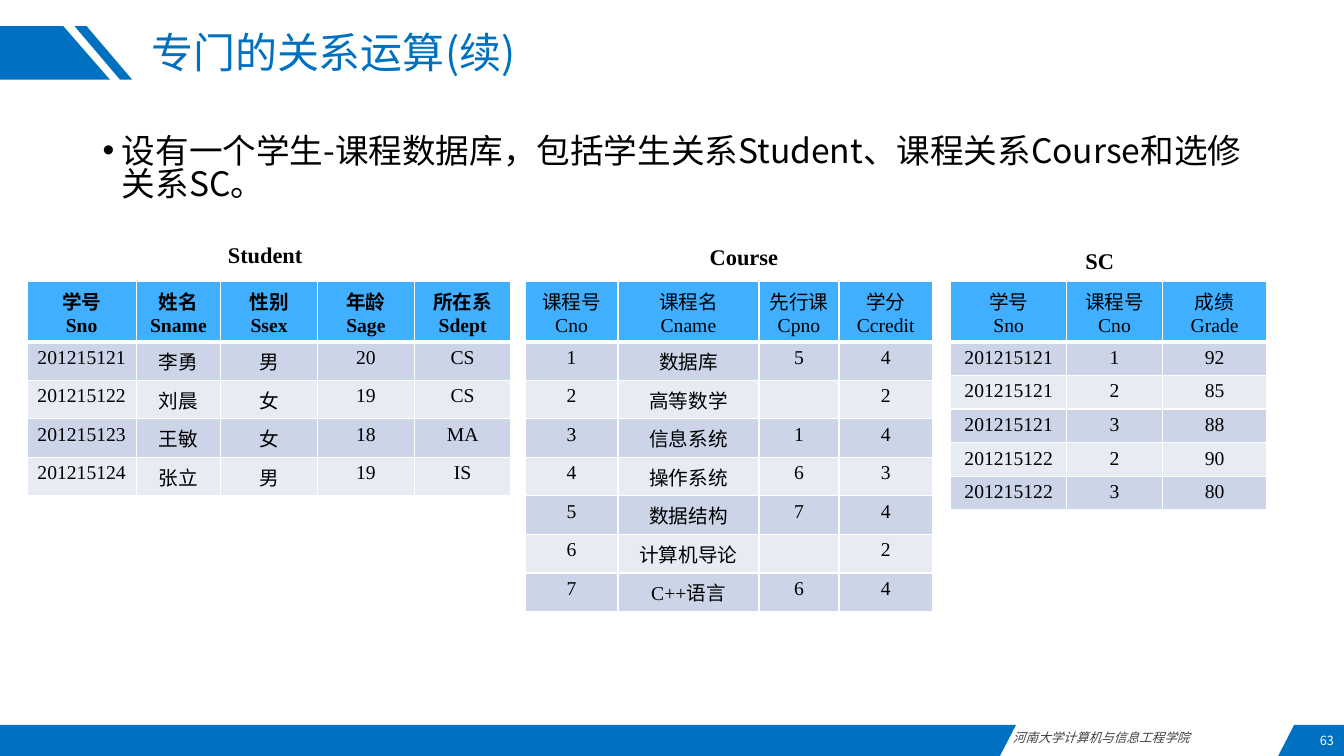
from dataclasses import dataclass

from lxml.etree import SubElement
from pptx import Presentation
from pptx.dml.color import RGBColor
from pptx.enum.text import MSO_ANCHOR, PP_ALIGN
from pptx.oxml.ns import qn
from pptx.slide import Slide
from pptx.table import _Cell
from pptx.text.text import TextFrame
from pptx.util import Emu, Inches, Pt

WIDTH, HEIGHT = Inches(13.333), Inches(7.5)
SANS, SERIF = "Noto Sans CJK SC", "Times New Roman"
COLOURS = {
    "brand": "0070C0", "header": "40AFFF", "odd": "CCD5E8", "even": "E7EBF4",
    "ink": "000000", "grey": "404040", "white": "FFFFFF",
}
TABLE_TOP, HEADER_ROW = 37.2, 8


@dataclass(frozen=True)
class Area:
    """A rectangle in percent of the slide's width and height."""
    left: float
    top: float
    width: float
    height: float


@dataclass(frozen=True)
class Relation:
    name: str
    label: Area
    left: float
    columns: tuple[float, ...]
    row: float
    header: str
    records: tuple[str, ...]
    bold_header: bool = False


BANDS = (
    ((0, 3.47), (4.72, 3.47), (8.18, 10.53), (0, 10.53)),
    ((6.45, 3.47), (9.83, 10.53), (8.93, 10.53), (5.55, 3.47)),
    ((0, 95.87), (75.6, 95.87), (74.4, 100), (0, 100)),
    ((96.3, 95.87), (100, 95.87), (100, 100), (95.1, 100)),
)

# Fields are split by "|", lines within a field by "/".
RELATIONS = (
    Relation(
        "Student", Area(15, 30.53, 9.45, 6.27), 2.03, (8.1, 6.3, 7.2, 7.2, 7.2), 5.1,
        "学号/Sno|姓名/Sname|性别/Ssex|年龄/Sage|所在系/Sdept",
        ("201215121|李勇|男|20|CS", "201215122|刘晨|女|19|CS",
         "201215123|王敏|女|18|MA", "201215124|张立|男|19|IS"),
        bold_header=True,
    ),
    Relation(
        "Course", Area(51.6, 31.07, 7.5, 5.6), 39.08, (6.9, 10.5, 5.95, 6.95), 5.1,
        "课程号/Cno|课程名/Cname|先行课/Cpno|学分/Ccredit",
        ("1|数据库|5|4", "2|高等数学||2", "3|信息系统|1|4", "4|操作系统|6|3",
         "5|数据结构|7|4", "6|计算机导论||2", "7|C++语言|6|4"),
    ),
    Relation(
        "SC", Area(78.83, 31.87, 6, 5.2), 70.73, (8.65, 7.1, 7.8), 4.2,
        "学号/Sno|课程号/Cno|成绩/Grade",
        ("201215121|1|92", "201215121|2|85", "201215121|3|88",
         "201215122|2|90", "201215122|3|80"),
    ),
)


def across(share: float) -> Emu:
    return Emu(round(WIDTH * share / 100))


def down(share: float) -> Emu:
    return Emu(round(HEIGHT * share / 100))


def colour(name: str) -> RGBColor:
    return RGBColor.from_string(COLOURS[name])


def write(frame: TextFrame, text: str, *, size: float, font: str = SANS, ink: str = "ink",
          bold: bool = False, italic: bool = False, align: PP_ALIGN = PP_ALIGN.LEFT,
          spacing: float | None = None, bullet: str = "") -> None:
    """Fill a frame, one paragraph for each line of the text."""
    for number, line in enumerate(text.split("\n")):
        para = frame.add_paragraph() if number else frame.paragraphs[0]
        para.alignment = align
        if spacing:
            para.line_spacing = spacing
        if bullet:
            properties = para._p.get_or_add_pPr()
            indent = Inches(0.19)
            properties.set("marL", str(indent))
            properties.set("indent", str(-indent))
            SubElement(properties, qn("a:buFont"), typeface="Arial")
            SubElement(properties, qn("a:buChar"), char=bullet)
        if not line:
            SubElement(para._p, qn("a:endParaRPr"), sz=str(size * 100))
            continue
        span = para.add_run()
        span.text = line
        span.font.size, span.font.name = Pt(size), font
        span.font.bold, span.font.italic = bold, italic
        span.font.color.rgb = colour(ink)
        SubElement(span._r.get_or_add_rPr(), qn("a:ea"), typeface=SANS)


def add_text(page: Slide, area: Area, text: str, *, anchor: MSO_ANCHOR = MSO_ANCHOR.MIDDLE,
             inset_top: float = 0.05, **style) -> None:
    box = page.shapes.add_textbox(across(area.left), down(area.top),
                                  across(area.width), down(area.height))
    frame = box.text_frame
    frame.word_wrap = True
    frame.vertical_anchor = anchor
    frame.margin_top = Inches(inset_top)
    write(frame, text, **style)


def add_band(page: Slide, corners: tuple[tuple[float, float], ...]) -> None:
    points = [(across(x), down(y)) for x, y in corners]
    builder = page.shapes.build_freeform(*points[0], scale=1.0)
    builder.add_line_segments(points[1:], close=True)
    band = builder.convert_to_shape()
    band.shadow.inherit = False
    band.fill.solid()
    band.fill.fore_color.rgb = colour("brand")
    band.line.fill.background()


def set_borders(cell: _Cell, widths: dict[str, float]) -> None:
    properties = cell._tc.get_or_add_tcPr()
    for side, width in widths.items():
        line = SubElement(properties, qn(f"a:ln{side}"), w=str(Pt(width)))
        SubElement(SubElement(line, qn("a:solidFill")), qn("a:srgbClr"), val=COLOURS["white"])


def add_relation(page: Slide, relation: Relation) -> None:
    """Draw a relation's name and its table."""
    add_text(page, relation.label, relation.name, size=16, font=SERIF, bold=True,
             align=PP_ALIGN.CENTER)
    lines = (relation.header, *relation.records)
    heights = (HEADER_ROW, *[relation.row] * len(relation.records))
    table = page.shapes.add_table(
        len(lines), len(relation.columns), across(relation.left), down(TABLE_TOP),
        across(sum(relation.columns)), down(sum(heights))).table
    for column, width in zip(table.columns, relation.columns):
        column.width = across(width)
    for row_number, (line, height) in enumerate(zip(lines, heights)):
        table.rows[row_number].height = down(height)
        is_header = row_number == 0
        fill = "header" if is_header else ("even", "odd")[row_number % 2]
        widths = {"L": 1, "R": 1, "T": 3 if row_number == 1 else 1, "B": 3 if is_header else 1}
        for column_number, value in enumerate(line.split("|")):
            cell = table.cell(row_number, column_number)
            set_borders(cell, widths)
            cell.fill.solid()
            cell.fill.fore_color.rgb = colour(fill)
            write(cell.text_frame, value.replace("/", "\n"), size=14, font=SERIF,
                  bold=is_header and relation.bold_header, align=PP_ALIGN.CENTER)


def main() -> None:
    deck = Presentation()
    deck.slide_width, deck.slide_height = WIDTH, HEIGHT
    page = deck.slides.add_slide(deck.slide_layouts[6])
    for corners in BANDS:
        add_band(page, corners)
    add_text(page, Area(74.63, 95.87, 20.48, 3.33), "河南大学计算机与信息工程学院",
             anchor=MSO_ANCHOR.TOP, size=9, ink="grey", italic=True, align=PP_ALIGN.JUSTIFY)
    add_text(page, Area(10.5, 3.47, 78.4, 7.47), "专门的关系运算(续)",
             size=30, ink="brand", spacing=0.9)
    add_text(page, Area(6.9, 16.67, 86.25, 76.27),
             "设有一个学生-课程数据库，包括学生关系Student、课程关系Course和选修关系SC。",
             anchor=MSO_ANCHOR.TOP, inset_top=0.11, size=24, spacing=0.82, bullet="•")
    add_text(page, Area(89.55, 96, 10.43, 4), "63", size=9, ink="white", align=PP_ALIGN.RIGHT)
    for relation in RELATIONS:
        add_relation(page, relation)
    deck.save("out.pptx")


if __name__ == "__main__":
    main()
